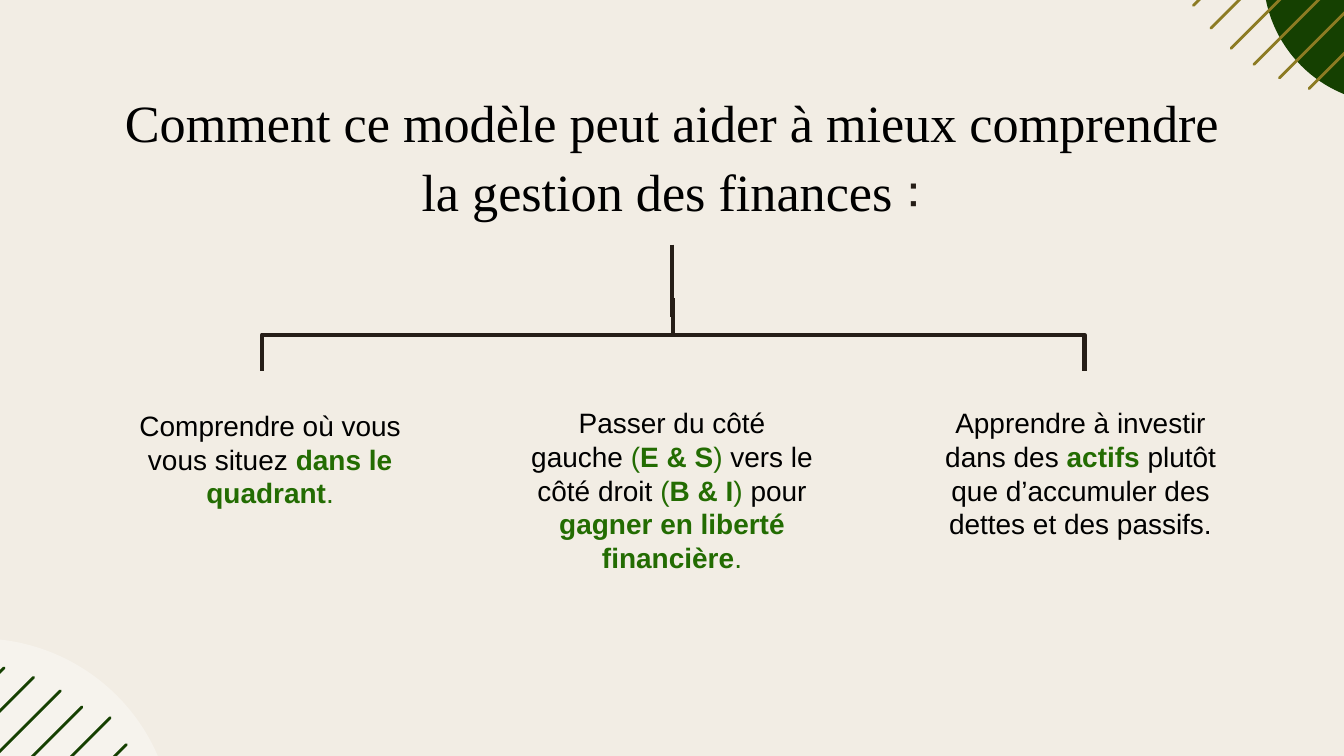
from lxml import etree
from pptx import Presentation, util as u
from pptx.dml.color import RGBColor
from pptx.enum import shapes, text
from pptx.oxml.ns import qn

WIDE = 10
HIGH = WIDE * 9 / 16
DARK, LEAF, GOLD, BLACK = "261E17", "236C02", "8C7B23", "000000"
FOREST = "154001"


def tint(code):
    return RGBColor.from_string(code)


def put_line(slide, kind, start, end, ink, width):
    line = slide.shapes.add_connector(
        kind, *[u.Inches(v) for v in (*start, *end)])
    line.line.color.rgb = tint(ink)
    line.line.width = u.Pt(width)
    etree.SubElement(line._element.spPr, qn("a:effectLst"))
    return line


def put_text(slide, box, runs, top=0.1, gap=None):
    """Add centred text; each run is (words, font, size, colour, bold)."""
    frame = slide.shapes.add_textbox(*[u.Inches(v) for v in box]).text_frame
    frame.word_wrap = True
    frame.vertical_anchor = text.MSO_ANCHOR.TOP
    frame.margin_left = frame.margin_right = frame.margin_bottom = u.Inches(0.1)
    frame.margin_top = u.Inches(top)
    para = frame.paragraphs[0]
    para.alignment = text.PP_ALIGN.CENTER
    para.line_spacing = gap
    for words, face, size, ink, bold in runs:
        run = para.add_run()
        run.text = words
        run.font.name, run.font.size, run.font.bold = face, u.Pt(size), bold
        run.font.color.rgb = tint(ink)


def corner(slide, box, fill, ink, ends, way, alpha=None):
    """Draw a disc and diagonal strokes, their ends measured from the box."""
    left, top = box[:2]
    disc = slide.shapes.add_shape(
        shapes.MSO_SHAPE.OVAL, *[u.Inches(v) for v in box])
    disc.shadow.inherit = False
    disc.fill.solid()
    disc.fill.fore_color.rgb = tint(fill)
    disc.line.fill.background()
    if alpha:
        color = disc._element.spPr.find(".//" + qn("a:srgbClr"))
        etree.SubElement(color, qn("a:alpha"), val=str(alpha * 1000))
    for x, y, size in ends:
        start = left + x, top + y
        end = start[0] + way * size, start[1] - way * size
        line = put_line(slide, shapes.MSO_CONNECTOR.STRAIGHT,
                        start, end, ink, 1.5)
        line.line._get_or_add_ln().set("cap", "rnd")


def tree(slide, box):
    """Draw a stem and two bent branches that reach the box's lower corners."""
    left, top, width, height = box
    mid, base = left + width / 2, top + height
    drop, span = 0.54, width / 2
    for side in (-1, 1):
        # A bent connector runs sideways first, so it is turned to run down.
        x, y = mid + side * span / 2, base - drop / 2
        start = x + side * drop / 2, y - span / 2
        end = x - side * drop / 2, y + span / 2
        branch = put_line(slide, shapes.MSO_CONNECTOR.ELBOW,
                          start, end, DARK, 2.25)
        turn = 90 if side < 0 else 270
        branch._element.spPr.find(qn("a:xfrm")).set("rot", str(turn * 60000))
    put_line(slide, shapes.MSO_CONNECTOR.STRAIGHT,
             (WIDE / 2, top), (WIDE / 2, top + drop), DARK, 2.25)


def title(slide, box):
    put_text(slide, box, [
        ("Comment ce modèle peut aider à mieux comprendre "
         "la gestion des finances", "Times New Roman", 28, BLACK, False),
        ("\u00a0:".replace("\u00a0", chr(160)), "Manrope", 32, DARK, False)],
        0.04, u.Pt(38))


def column(slide, box, parts):
    put_text(slide, box, [(words, "Arial", 15, ink, bold)
                          for words, ink, bold in parts])


TOP_ENDS = [(-0.52, 1.19, 1.95), (-0.39, 1.36, 2.06), (-0.24, 1.51, 2.09),
            (-0.07, 1.63, 2.02), (0.12, 1.73, 1.86), (0.34, 1.81, 1.71)]
LOW_ENDS = [(1.64, 0.22, 1.71), (1.86, 0.29, 1.85), (2.06, 0.39, 1.95),
            (2.22, 0.51, 1.99), (2.43, 0.59, 2.06), (2.55, 0.79, 2)]
COLUMNS = [
    (0.85, 2.94, [("Comprendre où vous vous situez ", BLACK, False),
                  ("dans le quadrant", LEAF, True), (".", LEAF, False)]),
    (3.84, 2.92, [("Passer du côté gauche ", BLACK, False),
                  ("(", LEAF, False), ("E & S", LEAF, True),
                  (")", LEAF, False), (" vers le côté droit", BLACK, False),
                  (" (", LEAF, False), ("B & I", LEAF, True),
                  (")", LEAF, False), (" pour ", BLACK, False),
                  ("gagner en liberté financière", LEAF, True),
                  (".", LEAF, False)]),
    (6.88, 2.92, [("Apprendre à investir dans des ", BLACK, False),
                  ("actifs ", LEAF, True),
                  ("plutôt que d’accumuler des dettes et des passifs.",
                   BLACK, False)]),
]


def main():
    deck = Presentation()
    deck.slide_width, deck.slide_height = u.Inches(WIDE), u.Inches(HIGH)
    slide = deck.slides.add_slide(deck.slide_layouts[6])
    slide.background.fill.solid()
    slide.background.fill.fore_color.rgb = tint("F2EDE4")
    corner(slide, (9.4, -1.15, 1.92, 1.92), FOREST, GOLD, TOP_ENDS, 1)
    corner(slide, (-1.61, 4.75, 2.9, 2.88), "FFFFFF", FOREST, LOW_ENDS, -1, 36)
    title(slide, (0.78, 0.57, 8.44, 0.77))
    tree(slide, (1.95, 1.82, 6.12, 0.94))
    for left, top, parts in COLUMNS:
        column(slide, (left, top, 2.32, 0.37), parts)
    deck.save("out.pptx")


if __name__ == "__main__":
    main()
